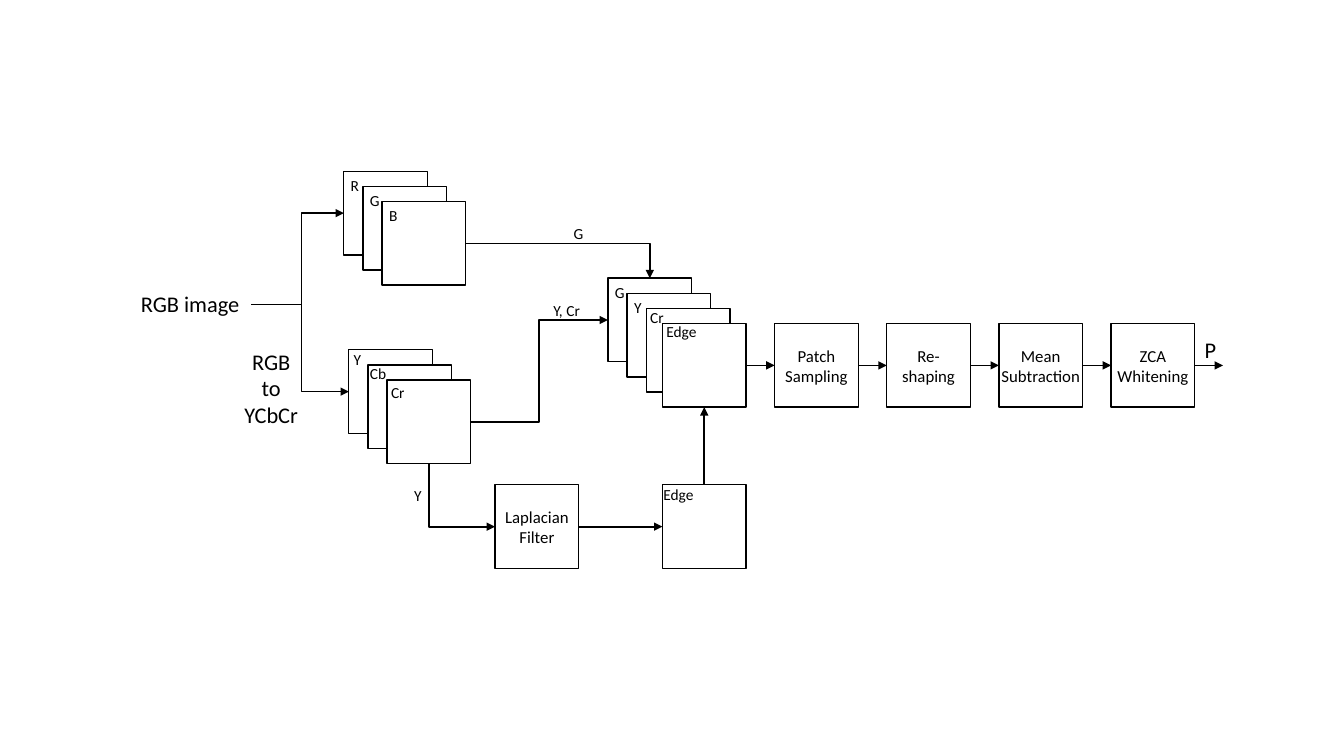
from dataclasses import dataclass

from lxml.etree import SubElement
from pptx import Presentation
from pptx.dml.color import RGBColor
from pptx.enum.shapes import MSO_CONNECTOR, MSO_SHAPE
from pptx.enum.text import MSO_AUTO_SIZE, PP_ALIGN
from pptx.oxml.ns import qn
from pptx.util import Inches, Pt


@dataclass(frozen=True)
class Theme:
    font: str = "Calibri"
    ink: RGBColor = RGBColor(0, 0, 0)
    paper: RGBColor = RGBColor(255, 255, 255)
    channel_size: int = 11
    stage_size: int = 12
    signal_size: int = 16
    outline: float = 1
    arrow: float = 1.25


@dataclass(frozen=True)
class Box:
    left: float
    top: float
    width: float
    height: float

    @property
    def right(self):
        return self.left + self.width

    @property
    def bottom(self):
        return self.top + self.height

    @property
    def center(self):
        return self.left + self.width / 2

    @property
    def middle(self):
        return self.top + self.height / 2

    def inner(self, x, y, width, height):
        return Box(self.left + x, self.top + y, width, height)

    def lengths(self):
        return [Inches(value) for value in (self.left, self.top, self.width, self.height)]


THEME = Theme()
SIDE = 0.83
LABEL_HEIGHT = 0.29
STACK_STEP_X, STACK_STEP_Y = 0.19, 0.15


def add_square(slide, box):
    square = slide.shapes.add_shape(MSO_SHAPE.RECTANGLE, *box.lengths())
    square.shadow.inherit = False
    square.fill.solid()
    square.fill.fore_color.rgb = THEME.paper
    square.line.color.rgb = THEME.ink
    square.line.width = Pt(THEME.outline)
    return square


def add_text(slide, box, text, size=THEME.channel_size, align=PP_ALIGN.LEFT):
    frame = slide.shapes.add_textbox(*box.lengths()).text_frame
    frame.word_wrap = True
    frame.auto_size = MSO_AUTO_SIZE.SHAPE_TO_FIT_TEXT
    frame.text = text
    for para in frame.paragraphs:
        para.alignment = align
        for span in para.runs:
            span.font.name = THEME.font
            span.font.size = Pt(size)
            span.font.color.rgb = THEME.ink


def add_arrow(slide, start, end, kind=MSO_CONNECTOR.STRAIGHT):
    arrow = slide.shapes.add_connector(kind, *[Inches(value) for value in (*start, *end)])
    arrow.line.color.rgb = THEME.ink
    arrow.line.width = Pt(THEME.arrow)
    SubElement(arrow.line._get_or_add_ln(), qn("a:tailEnd")).set("type", "triangle")
    SubElement(arrow._element.spPr, qn("a:effectLst"))
    return arrow


def join(slide, source, source_side, target, target_side):
    arrow = add_arrow(slide, (0, 0), (1, 1))
    arrow.begin_connect(source, source_side)
    arrow.end_connect(target, target_side)


def add_step_arrow(slide, start, end, turn_x):
    arrow = add_arrow(slide, start, end, MSO_CONNECTOR.ELBOW)
    guides = arrow._element.spPr.find(qn("a:prstGeom")).find(qn("a:avLst"))
    share = (turn_x - start[0]) / (end[0] - start[0])
    guide = SubElement(guides, qn("a:gd"))
    guide.set("name", "adj1")
    guide.set("fmla", f"val {round(share * 100000)}")


def add_corner_arrow(slide, start, end, down_first=False):
    if down_first:
        center_x, center_y = (start[0] + end[0]) / 2, (start[1] + end[1]) / 2
        half_x, half_y = (end[0] - start[0]) / 2, (end[1] - start[1]) / 2
        start = center_x + half_y, center_y - half_x
        end = center_x - half_y, center_y + half_x
    arrow = add_arrow(slide, start, end, MSO_CONNECTOR.ELBOW)
    properties = arrow._element.spPr
    properties.find(qn("a:prstGeom")).set("prst", "bentConnector2")
    if down_first:
        properties.find(qn("a:xfrm")).set("rot", "16200000")


def draw_input(slide, box, rgb_entry, luma_entry):
    turn_x = box.left + 1.69
    for start_x, entry in ((1.19, rgb_entry), (1.24, luma_entry)):
        add_step_arrow(slide, (box.left + start_x, box.top + 0.19), entry, turn_x)
    add_text(slide, box.inner(0, 0, 1.43, 0.37), "RGB image", THEME.signal_size)
    add_text(slide, box.inner(1, 0.57, 0.78, 0.91), "RGB to YCbCr",
             THEME.signal_size, PP_ALIGN.CENTER)


def draw_stack(slide, box, channels):
    squares = [box.inner(index * STACK_STEP_X, index * STACK_STEP_Y, SIDE, SIDE)
               for index in range(len(channels))]
    for square in squares:
        add_square(slide, square)
    for square, (name, shift_x, shift_y) in zip(squares, channels):
        add_text(slide, square.inner(shift_x, shift_y, 0.38, LABEL_HEIGHT), name)
    return squares[-1]


def draw_edge_panel(slide, box, shift_x, shift_y):
    panel = add_square(slide, box)
    add_text(slide, box.inner(shift_x, shift_y, 0.51, LABEL_HEIGHT), "Edge")
    return panel


def draw_stage(slide, box, text):
    square = add_square(slide, box)
    add_text(slide, Box(box.center - 0.5, box.top + 0.17, 1, 0.5), text,
             THEME.stage_size, PP_ALIGN.CENTER)
    return square


def draw_pipeline(slide, box, edge_panel):
    pitch = box.width / 4
    previous = edge_panel
    names = ("Patch\nSampling", "Re-\nshaping", "Mean\nSubtraction", "ZCA\nWhitening")
    for index, name in enumerate(names, 1):
        stage = draw_stage(slide, box.inner(index * pitch, 0, SIDE, SIDE), name)
        join(slide, previous, 3, stage, 1)
        previous = stage
    output_x = box.right + SIDE
    output = add_arrow(slide, (output_x, box.middle), (output_x + 0.28, box.middle))
    output.begin_connect(previous, 3)
    add_text(slide, Box(output_x, box.top + 0.08, 1.43, 0.37), "P", THEME.signal_size)


def draw_diagram(slide):
    rgb = Box(3.41, 1.7, SIDE, SIDE)
    luma = Box(3.46, 3.47, SIDE, SIDE)
    mixed = Box(6.03, 2.76, SIDE, SIDE)
    edge = Box(6.57, 3.21, SIDE, SIDE)
    laplacian = Box(4.91, 4.81, SIDE, SIDE)
    edge_map = Box(edge.left, laplacian.top, SIDE, SIDE)

    draw_input(slide, Box(1.3, 2.83, 1.78, 1.48),
               (rgb.left, rgb.middle), (luma.left, luma.middle))
    blue = draw_stack(slide, rgb, [(name, -0.03, 0) for name in "RGB"])
    chroma = draw_stack(slide, luma, [("Y", -0.05, -0.05), ("Cb", -0.08, -0.06),
                                      ("Cr", -0.06, -0.02)])
    draw_stack(slide, mixed, [("G", -0.03, 0), ("Y", -0.03, 0), ("Cr", -0.06, -0.05)])
    edge_panel = draw_edge_panel(slide, edge, -0.06, -0.06)
    map_panel = draw_edge_panel(slide, edge_map, -0.09, -0.05)
    filter_stage = draw_stage(slide, laplacian, "Laplacian Filter")

    add_corner_arrow(slide, (chroma.center, chroma.bottom),
                     (laplacian.left, laplacian.middle), down_first=True)
    add_corner_arrow(slide, (blue.right, blue.middle), (mixed.center, mixed.top))
    add_step_arrow(slide, (chroma.right, chroma.middle), (mixed.left, mixed.middle), 5.35)
    join(slide, filter_stage, 3, map_panel, 1)
    join(slide, map_panel, 0, edge_panel, 2)
    for name, left, top, width in (("Y", 4.01, 4.77, 0.38), ("Y, Cr", 5.39, 2.94, 0.62),
                                   ("G", 5.59, 2.17, 0.62)):
        add_text(slide, Box(left, top, width, LABEL_HEIGHT), name)
    draw_pipeline(slide, Box(edge.left, edge.top, 4.45, SIDE), edge_panel)


def main():
    deck = Presentation()
    deck.slide_width, deck.slide_height = Inches(13.33), Inches(7.5)
    draw_diagram(deck.slides.add_slide(deck.slide_layouts[6]))
    deck.save("out.pptx")


if __name__ == "__main__":
    main()
